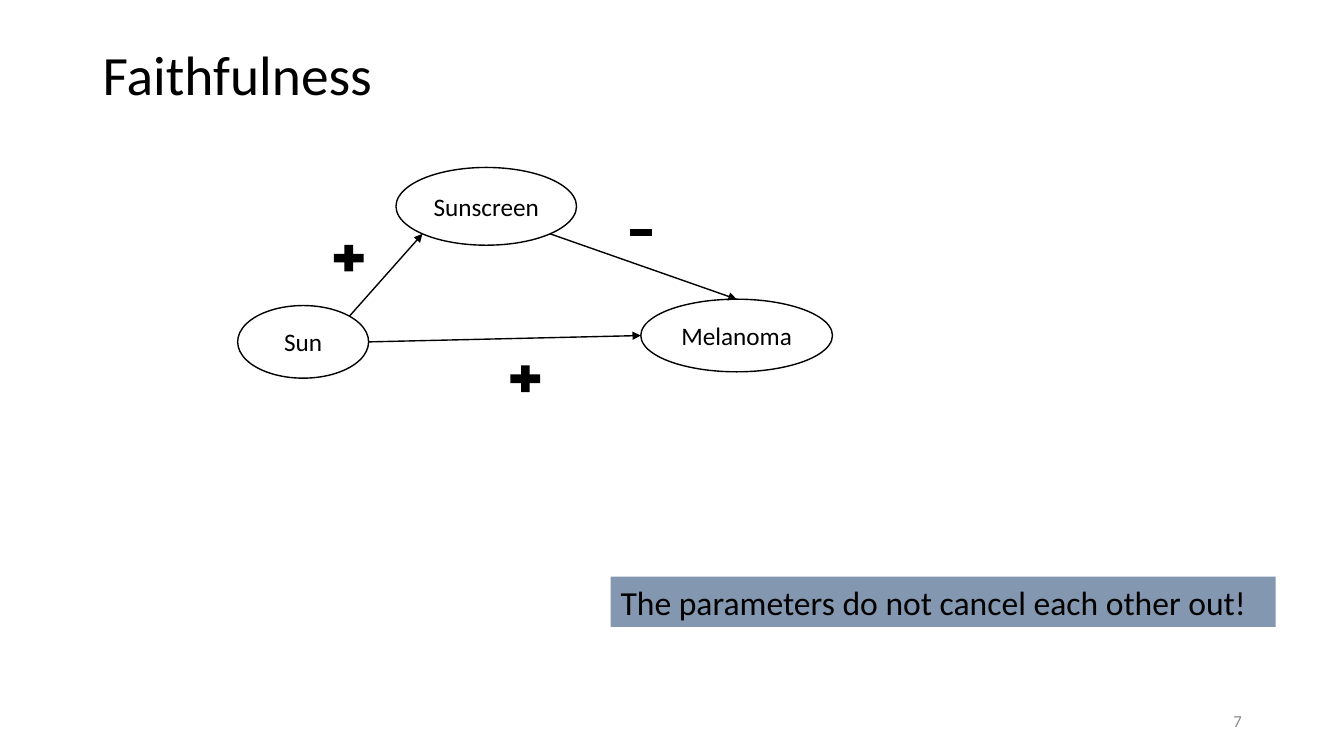
import math
from lxml import etree
from pptx import Presentation
from pptx.dml.color import RGBColor
from pptx.enum import shapes, text
from pptx.oxml.ns import qn
from pptx.util import Cm, Pt

BLACK = RGBColor(0x00, 0x00, 0x00)
WHITE = RGBColor(0xFF, 0xFF, 0xFF)
GRAY = RGBColor(0x8C, 0x8C, 0x8C)
SLATE = RGBColor(0x84, 0x97, 0xB0)
FONT = "Calibri"
KIND = shapes.MSO_SHAPE
ALIGN = text.PP_ALIGN
MIDDLE = text.MSO_ANCHOR.MIDDLE

# Boxes are left, top, width, height in cm
TITLE = ("Faithfulness", (2.34, 1.02, 29.21, 1.85))
PAGE = ("7", (23.93, 17.65, 7.62, 1.02))
CLAIM = ("The parameters do not cancel each other out!", (15.39, 14.53, 16.76, 1.27))
VARIABLES = {
    "Sun": (5.99, 7.7, 3.3, 1.83),
    "Sunscreen": (9.98, 4.22, 4.55, 1.96),
    "Melanoma": (16.15, 7.54, 4.83, 1.83),
}
# Oval sites run counterclockwise from the top in steps of 45 degrees
TOP, LEFT, BOTTOM_LEFT, BOTTOM_RIGHT, RIGHT, TOP_RIGHT = 0, 2, 3, 5, 6, 7
EFFECTS = [
    ("Sun", TOP_RIGHT, "Sunscreen", BOTTOM_LEFT),
    ("Sunscreen", BOTTOM_RIGHT, "Melanoma", TOP),
    ("Sun", RIGHT, "Melanoma", LEFT),
]
SIGNS = [
    (KIND.MATH_PLUS, (8.28, 6.05, 1.02, 0.91)),
    (KIND.MATH_PLUS, (12.73, 9.09, 1.02, 0.91)),
    (KIND.MATH_MINUS, (15.77, 5.51, 0.76, 0.69)),
]


def write(sp, words, size, color=BLACK, align=ALIGN.LEFT, **frame):
    tf = sp.text_frame
    for name, value in {"word_wrap": True, "vertical_anchor": MIDDLE, **frame}.items():
        setattr(tf, name, value)
    p = tf.paragraphs[0]
    p.alignment = align
    r = p.add_run()
    r.text = words
    for name, value in {"name": FONT, "size": Pt(size)}.items():
        setattr(r.font, name, value)
    r.font.color.rgb = color
    return p


def add_shape(s, kind, box, fill, outlined=False):
    sp = s.shapes.add_shape(kind, *map(Cm, box))
    sp.shadow.inherit = False
    sp.fill.solid()
    sp.fill.fore_color.rgb = fill
    if outlined:
        sp.line.color.rgb = BLACK
        sp.line.width = Pt(1)
    else:
        sp.line.fill.background()
    return sp


def site_point(box, site):
    left, top, width, height = box
    angle = math.radians(45 * site)
    return (Cm(left + width / 2 * (1 - math.sin(angle))),
            Cm(top + height / 2 * (1 - math.cos(angle))))


def add_effect(s, ovals, cause, start, result, end):
    """Draw an arrow between two ovals and join it to their sites."""
    line = s.shapes.add_connector(
        shapes.MSO_CONNECTOR.STRAIGHT,
        *site_point(VARIABLES[cause], start), *site_point(VARIABLES[result], end))
    line.line.color.rgb = BLACK
    line.line.width = Pt(1)
    joints = line._element.find(".//" + qn("p:cNvCxnSpPr"))
    for tag, name, site in (("a:stCxn", cause, start), ("a:endCxn", result, end)):
        etree.SubElement(joints, qn(tag), id=str(ovals[name].shape_id), idx=str(site))
    etree.SubElement(line.line._get_or_add_ln(), qn("a:tailEnd"), type="triangle")
    etree.SubElement(line._element.spPr, qn("a:effectLst"))


def main():
    prs = Presentation()
    prs.slide_width, prs.slide_height = Cm(33.87), Cm(19.05)
    s = prs.slides.add_slide(prs.slide_layouts[6])

    words, box = TITLE
    write(s.shapes.add_textbox(*map(Cm, box)), words, 39.6).line_spacing = 0.9
    words, box = PAGE
    write(s.shapes.add_textbox(*map(Cm, box)), words, 12, GRAY, ALIGN.RIGHT)

    ovals = {}
    for name, box in VARIABLES.items():
        ovals[name] = add_shape(s, KIND.OVAL, box, WHITE, outlined=True)
        write(ovals[name], name, 18, align=ALIGN.CENTER, word_wrap=False)
    for effect in EFFECTS:
        add_effect(s, ovals, *effect)
    for kind, box in SIGNS:
        add_shape(s, kind, box, BLACK)

    words, box = CLAIM
    write(add_shape(s, KIND.RECTANGLE, box, SLATE), words, 24,
          vertical_anchor=text.MSO_ANCHOR.TOP,
          auto_size=text.MSO_AUTO_SIZE.SHAPE_TO_FIT_TEXT)
    prs.save("out.pptx")


if __name__ == "__main__":
    main()
